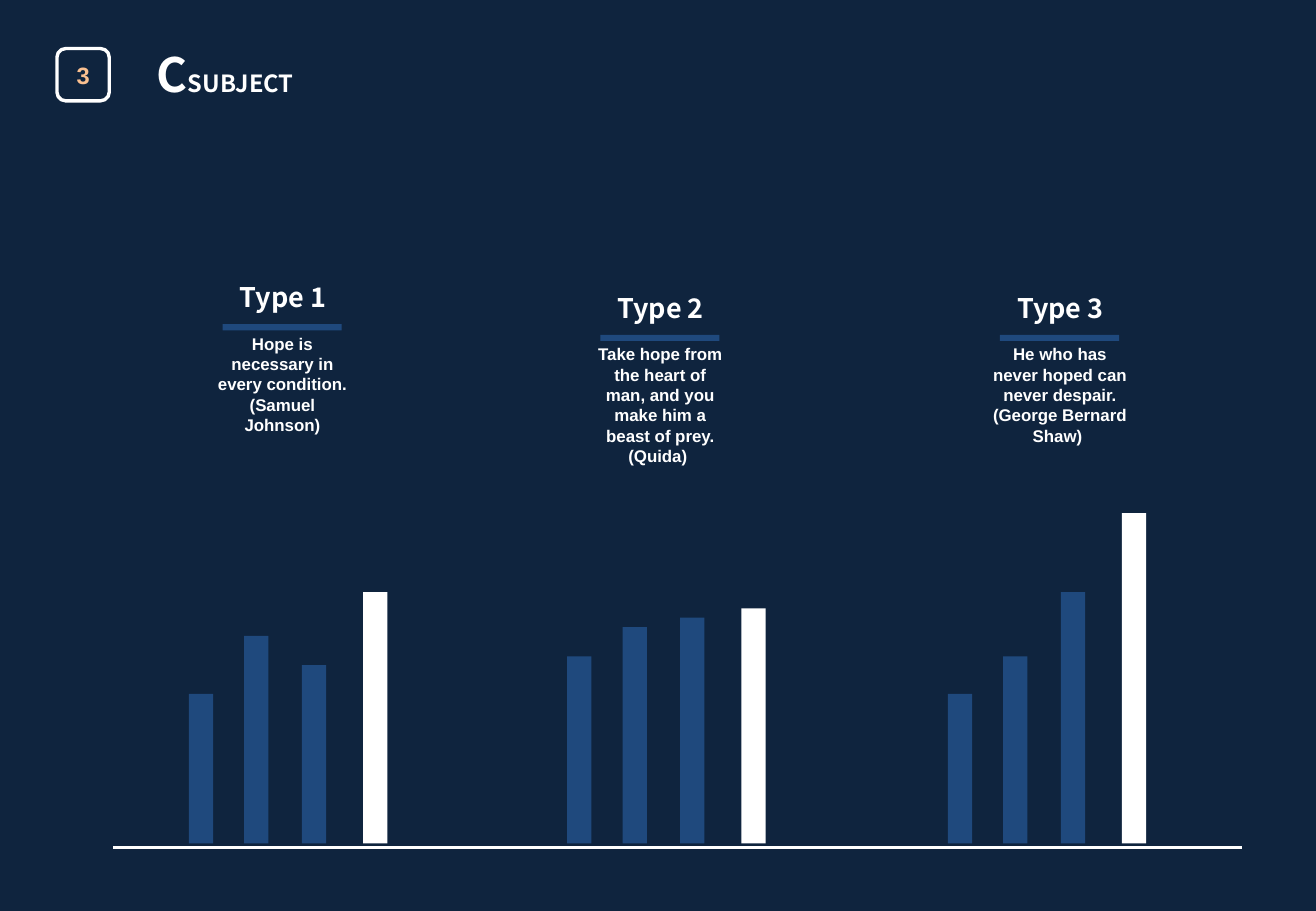
from pptx import Presentation
from pptx.dml.color import RGBColor
from pptx.enum.shapes import MSO_CONNECTOR as Connector, MSO_SHAPE as Shape
from pptx.enum.text import MSO_ANCHOR as Anchor, MSO_AUTO_SIZE as AutoSize, PP_ALIGN as Align
from pptx.oxml.ns import qn
from pptx.util import Pt
from lxml import etree

COLORS = {"navy": "0F243E", "blue": "1F497D", "white": "FFFFFF", "peach": "FAC090"}
HEADING_FONT, BODY_FONT = "Noto Sans CJK KR", "Arial"

# Bars stand on a common base; each group uses the same offsets
BAR_BASE, BAR_WIDTH = 500, 14.4
BAR_OFFSETS = [0, 32.8, 67, 103.2]

# Bar group left, heading left, heading top, heading, quote, bar heights
TYPES = [
    (112, 119.5, 162.7, "Type 1",
     "Hope is necessary in every condition. (Samuel Johnson)",
     [88.6, 123.1, 105.8, 149]),
    (336.2, 343.4, 169, "Type 2",
     "Take hope from the heart of man, and you make him a beast of prey. (Quida) ",
     [110.9, 128.2, 133.9, 139.3]),
    (561.8, 580.3, 169, "Type 3",
     "He who has never hoped can never despair. (George Bernard Shaw) ",
     [88.6, 110.9, 149, 195.8]),
]


def rgb(name):
    return RGBColor.from_string(COLORS[name])


def add_text(para, text, size=10, font=BODY_FONT, color="white", align=Align.CENTER):
    para.alignment = align
    span = para.add_run()
    span.text = text
    span.font.size = Pt(size)
    span.font.name = font
    span.font.bold = True
    span.font.color.rgb = rgb(color)


class Page:
    def __init__(self, deck):
        self.slide = deck.slides.add_slide(deck.slide_layouts[5])
        self.shapes = self.slide.shapes
        background = self.slide.background.fill
        background.solid()
        background.fore_color.rgb = rgb("navy")

    def title(self, parts, left, top, width, height):
        box = self.shapes.title
        box.left, box.top, box.width, box.height = map(Pt, (left, top, width, height))
        frame = box.text_frame
        frame.vertical_anchor = Anchor.TOP
        frame.auto_size = AutoSize.SHAPE_TO_FIT_TEXT
        for text, size in parts:
            add_text(frame.paragraphs[0], text, size=size, font=HEADING_FONT, align=Align.JUSTIFY)

    def shape(self, left, top, width, height, fill=None, line=None, kind=Shape.RECTANGLE, parent=None):
        box = (parent or self).shapes.add_shape(kind, Pt(left), Pt(top), Pt(width), Pt(height))
        box.shadow.inherit = False
        if fill:
            box.fill.solid()
            box.fill.fore_color.rgb = rgb(fill)
        else:
            box.fill.background()
        if line:
            box.line.color.rgb = rgb(line)
            box.line.width = Pt(2)
        else:
            box.line.fill.background()
        return box

    def text(self, text, left, top, width, height, parent=None, **style):
        box = (parent or self).shapes.add_textbox(Pt(left), Pt(top), Pt(width), Pt(height))
        box.text_frame.word_wrap = True
        box.text_frame.auto_size = AutoSize.SHAPE_TO_FIT_TEXT
        add_text(box.text_frame.paragraphs[0], text, **style)

    def line(self, x1, y1, x2, y2):
        line = self.shapes.add_connector(Connector.STRAIGHT, Pt(x1), Pt(y1), Pt(x2), Pt(y2))
        line.line.color.rgb = rgb("white")
        line.line.width = Pt(2)
        etree.SubElement(line._element.spPr, qn("a:effectLst"))

    def bars(self, left, heights):
        for index, (offset, height) in enumerate(zip(BAR_OFFSETS, heights)):
            fill = "white" if index == len(heights) - 1 else "blue"
            self.shape(left + offset, BAR_BASE - height, BAR_WIDTH, height, fill=fill)

    def caption(self, left, top, heading, quote):
        group = self.shapes.add_group_shape()
        self.shape(left + 12.4, top + 29.5, 70.6, 3.6, fill="blue", parent=group)
        self.text(heading, left, top, 96.5, 26.6, parent=group, size=16, font=HEADING_FONT)
        self.text(quote, left + 0.7, top + 31.4, 94.3, 67.7)


def main():
    deck = Presentation()
    deck.slide_width, deck.slide_height = Pt(780), Pt(540)
    page = Page(deck)

    # Title and section number
    page.title([("C", 28), ("SUBJECT", 14)], 85.7, 23, 141.8, 41)
    badge = page.shape(33.8, 28.8, 31, 31, line="white", kind=Shape.ROUNDED_RECTANGLE)
    badge.text_frame.vertical_anchor = Anchor.MIDDLE
    add_text(badge.text_frame.paragraphs[0], "3", size=14, color="peach")

    # Baseline, bars and captions
    page.line(736, 502.4, 67, 502.4)
    for bar_left, left, top, heading, quote, heights in TYPES:
        page.bars(bar_left, heights)
        page.caption(left, top, heading, quote)

    deck.save("out.pptx")


if __name__ == "__main__":
    main()
